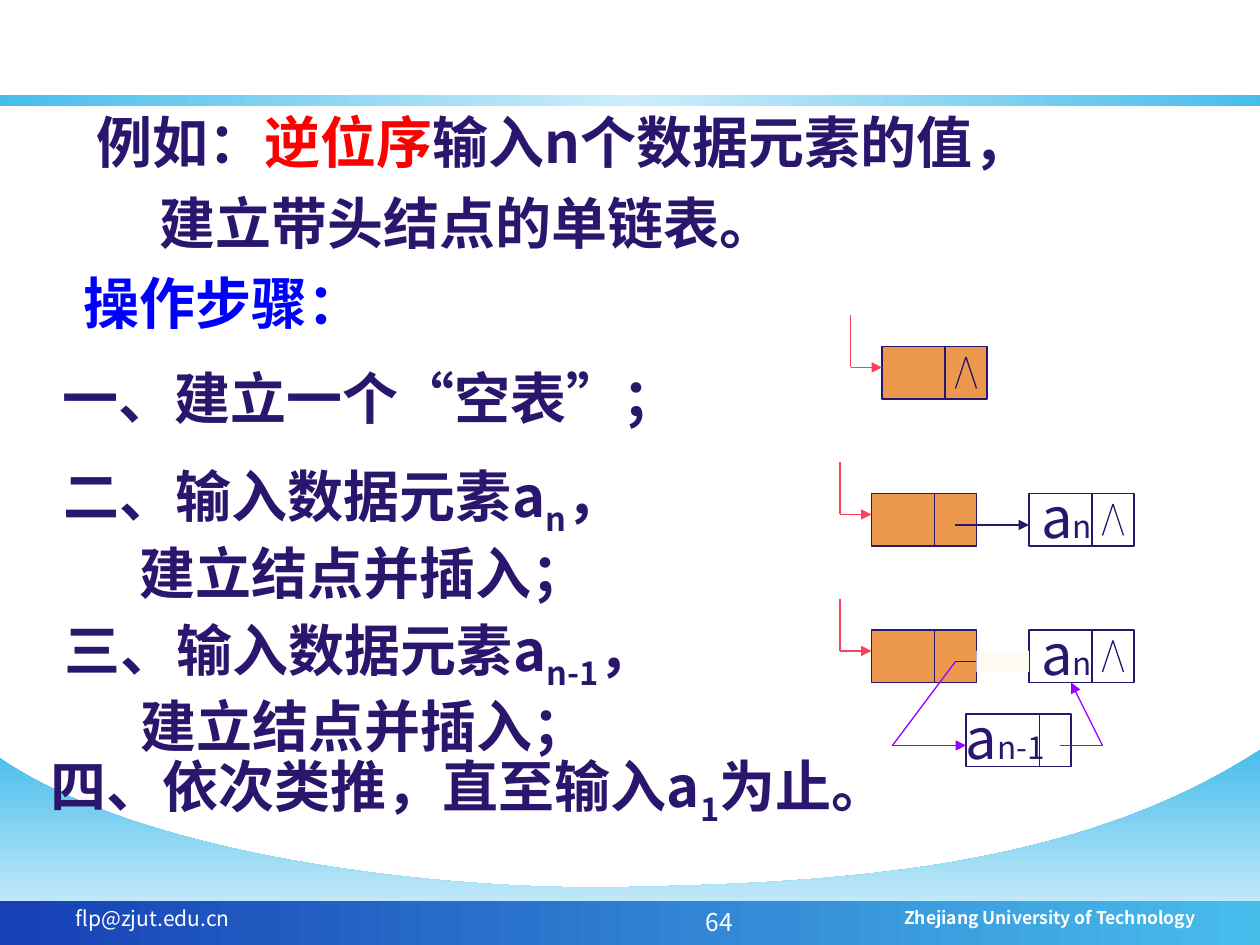
from lxml.etree import SubElement as Sub
from pptx import Presentation
from pptx.dml.color import RGBColor as Rgb
from pptx.enum.shapes import MSO_CONNECTOR as Link, MSO_SHAPE as Form
from pptx.enum.text import MSO_AUTO_SIZE as Fit, PP_ALIGN as Align
from pptx.oxml.ns import qn
from pptx.util import Inches, Pt

THEME = {
    "font": "Noto Sans CJK SC",
    "ink": "2B166E", "red": "FF0000", "blue": "0000FF", "white": "FFFFFF",
    "head": "EB984D", "root": "FB415C", "path": "9900FF", "mask": "FFF9F3",
    "sky": "48BDEC", "deep": "1640B6", "pale": "CDEDFA", "mist": "E3F5FC",
    "big": 32, "sub": 18, "page": 14, "mail": 12, "school": 10, "line": 0.75,
}
COLS, ROWS = 120, 90
UNIT = 10 / COLS

BODY = {"size": "big", "color": "ink", "bold": True}
NODE = {"size": "big", "color": "ink", "bold": False}
LOW = {"base": -25}
FOOT = [
    ((6, 85.6, 28, 4.2), "flp@zjut.edu.cn", "mail", False, Align.LEFT),
    ((78, 85.8, 37, 4.2), "Zhejiang University of Technology", "school", True, Align.RIGHT),
    ((43, 85.8, 28, 4.2), "64", "page", False, Align.RIGHT),
]


def step(num, low):
    return [
        (0, [(num + "、输入数据元素a", {}), (low, LOW), ("，", {})]),
        (7.2, [("建立结点并插入；", {})]),
    ]


TEXTS = [
    ((8, 8.4, 109, 16.6), True, 1.2, [
        (0, [("例如：", {}), ("逆位序", {"color": "red"}), ("输入n个数据元素的值，", {})]),
        (6, [("建立带头结点的单链表。", {})])]),
    ((6.8, 25, 29, 7.7), False, None, [(0, [("操作步骤：", {"color": "blue"})])]),
    ((4.8, 34, 61, 7.7), False, None, [(0, [("一、建立一个“空表”；", {})])]),
    ((4.9, 43.4, 71, 14.9), True, None, step("二", "n")),
    ((5, 58, 71, 14.9), True, None, step("三", "n-1")),
    ((3.6, 71, 84.7, 8.5), False, None, [
        (0, [("四、依次类推，直至输入a", {}), ("1", LOW), ("为止。", {})])]),
]

NODES = [
    {"at": (84, 33), "fill": "head", "root": True, "nil": True},
    {"at": (83, 47), "fill": "head", "root": True},
    {"at": (98, 47), "low": "n", "nil": True},
    {"at": (83, 60), "fill": "head", "root": True},
    {"at": (98, 60), "low": "n", "nil": True},
    {"at": (92, 68), "low": "n-1", "cut": 7, "shift": -1.2, "wide": 10},
]
LINKS = [
    ("ink", [(91, 50), (98, 50)]),
    ("ink", [(91, 63), (98, 63)]),
    ("path", [(101, 71), (105, 71), (102, 65)]),
    ("path", [(91, 63), (85, 71), (92, 71)]),
]
CURVES = [
    [(120, 71.4), (101.9, 83.4), (77, 84.1), (59, 84.5)],
    [(59, 84.5), (41, 84.8), (13.3, 81.4), (0, 72.2)],
]

deck = Presentation()
deck.slide_width, deck.slide_height = Inches(COLS * UNIT), Inches(ROWS * UNIT)
slide = deck.slides.add_slide(deck.slide_layouts[6])
shapes = slide.shapes


def place(*vals):
    return [Inches(v * UNIT) for v in vals]


def tint(name):
    return Rgb.from_string(THEME[name])


def blend(shape, angle, names):
    shape.shadow.inherit = False
    shape.line.fill.background()
    shape.fill.gradient()
    shape.fill.gradient_angle = angle
    stops = shape.fill._xPr.find(".//" + qn("a:gsLst"))
    for old in list(stops):
        stops.remove(old)
    for i, name in enumerate(names):
        stop = Sub(stops, qn("a:gs"), pos=str(100000 * i // (len(names) - 1)))
        Sub(stop, qn("a:srgbClr"), val=THEME[name])


def box(at, fill=None, line=None):
    shape = shapes.add_shape(Form.RECTANGLE, *place(*at))
    shape.shadow.inherit = False
    if fill:
        shape.fill.solid()
        shape.fill.fore_color.rgb = tint(fill)
    else:
        shape.fill.background()
    if line:
        shape.line.color.rgb = tint(line)
        shape.line.width = Pt(THEME["line"])
    else:
        shape.line.fill.background()
    return shape


def trace(color, spots, arrow=False):
    for i, (start, end) in enumerate(zip(spots, spots[1:]), 1):
        line = shapes.add_connector(Link.STRAIGHT, *place(*start, *end))
        line.line.color.rgb = tint(color)
        line.line.width = Pt(THEME["line"])
        if arrow and i == len(spots) - 1:
            Sub(line.line._get_or_add_ln(), qn("a:tailEnd"), type="triangle")
        Sub(line._element.spPr, qn("a:effectLst"))


def write(at, paras, base, wrap=True, gap=None, align=Align.LEFT, grow=True):
    frame = shapes.add_textbox(*place(*at)).text_frame
    frame.word_wrap = wrap
    frame.auto_size = Fit.SHAPE_TO_FIT_TEXT if grow else Fit.NONE
    for i, (inset, runs) in enumerate(paras):
        para = frame.add_paragraph() if i else frame.paragraphs[0]
        for key, val in {"alignment": align, "line_spacing": gap}.items():
            setattr(para, key, val)
        if inset:
            props = para._p.get_or_add_pPr()
            for key, val in {"marL": place(inset)[0], "indent": 0}.items():
                props.set(key, str(val))
        for words, own in runs:
            style = {**base, **own}
            run = para.add_run()
            run.text = words
            look = {"name": THEME["font"], "size": Pt(THEME[style["size"]]),
                    "bold": style["bold"]}
            for key, val in look.items():
                setattr(run.font, key, val)
            run.font.color.rgb = tint(style["color"])
            props = run._r.get_or_add_rPr()
            Sub(props, qn("a:ea"), typeface=THEME["font"])
            if "base" in style:
                props.set("baseline", str(style["base"] * 1000))


def curve(knots, parts=40):
    for i in range(1, parts + 1):
        t = i / parts
        mix = ((1 - t) ** 3, 3 * t * (1 - t) ** 2, 3 * t * t * (1 - t), t ** 3)
        yield tuple(sum(m * k[d] for m, k in zip(mix, knots)) for d in (0, 1))


def node(at, fill=None, root=False, nil=False, low=None, cut=6, shift=0, wide=7.2):
    x, y = at
    box((x, y, 10, 5), fill, "ink")
    trace("ink", [(x + cut, y), (x + cut, y + 5)])
    if root:
        trace("root", [(x - 3, y - 3), (x - 3, y + 2), (x, y + 2)], True)
    if nil:
        trace("ink", [(x + 7, y + 4), (x + 8, y + 1), (x + 9, y + 4)])
    if low:
        runs = [("a", {}), (low, {"size": "sub"})]
        write((x + shift, y - 1.6, wide, 7.7), [(0, runs)], NODE, False)


edge = [spot for knots in CURVES for spot in curve(knots)]
pen = shapes.build_freeform(*place(COLS, ROWS), scale=1.0)
pen.add_line_segments([place(*p) for p in [CURVES[0][0], *edge, (0, ROWS)]])
blend(pen.convert_to_shape(), 270, ["sky", "mist"])
blend(box((0, 85.8, COLS, 4.3)), 180, ["sky", "deep"])
blend(box((0, 9.1, COLS, 1)), 180, ["sky", "pale", "sky"])

for at, words, size, bold, align in FOOT:
    base = {"size": size, "color": "white", "bold": bold}
    write(at, [(0, [(words, {})])], base, align=align, grow=False)
for at, wrap, gap, paras in TEXTS:
    write(at, paras, BODY, wrap, gap)
for item in NODES:
    node(**item)
for color, spots in LINKS:
    trace(color, spots, True)
box((93, 62, 5, 2), "mask")

deck.save("out.pptx")
